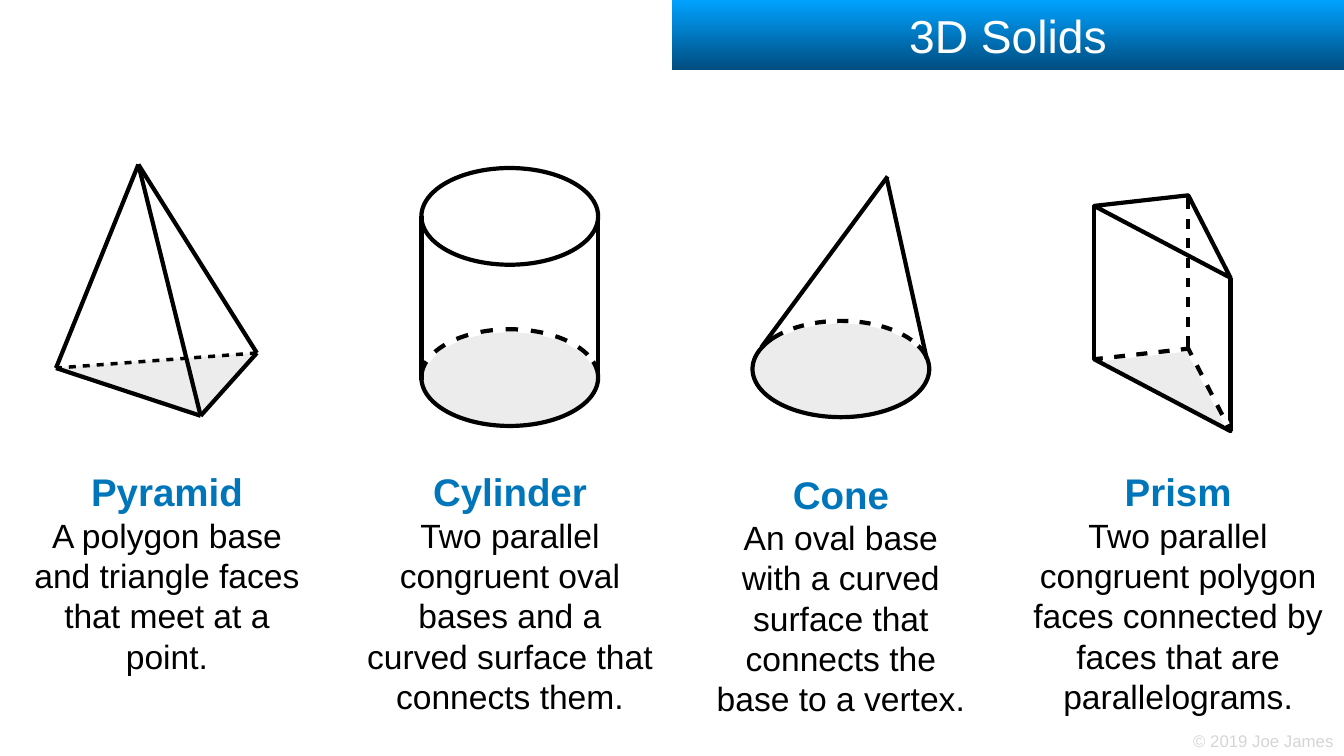
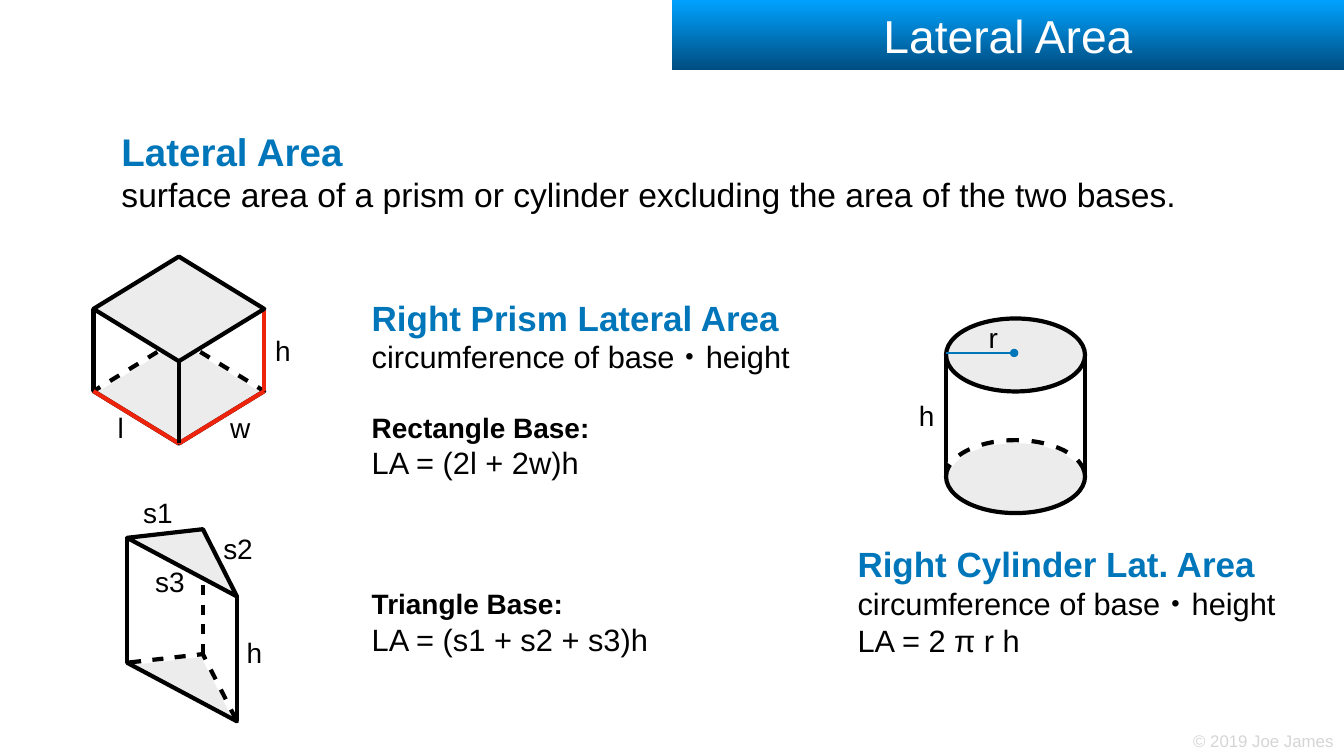
from collections import namedtuple
from math import cos, radians, sin

from lxml import etree
from pptx import Presentation
from pptx.dml.color import RGBColor
from pptx.enum.shapes import MSO_CONNECTOR, MSO_SHAPE
from pptx.enum.text import MSO_ANCHOR, MSO_AUTO_SIZE, PP_ALIGN
from pptx.oxml.ns import qn
from pptx.util import Pt

STRAIGHT = MSO_CONNECTOR.STRAIGHT
OVAL = MSO_SHAPE.OVAL
LEFT, CENTER = PP_ALIGN.LEFT, PP_ALIGN.CENTER
TOP, MIDDLE = MSO_ANCHOR.TOP, MSO_ANCHOR.MIDDLE
FIXED, GROW = MSO_AUTO_SIZE.NONE, MSO_AUTO_SIZE.SHAPE_TO_FIT_TEXT

BLACK, WHITE, GREY = "000000", "FFFFFF", "ECECEC"
BLUE, RED, PALE = "0076BA", "EE230C", "D5D5D5"
BAND_TOP, BAND_BOTTOM = "00A2FF", "004D80"
EDGE = 6
TITLE_ONLY = 5

STYLES = {
    "title": (66, False, WHITE),
    "footer": (24, False, PALE),
    "heading": (55, True, BLUE),
    "body": (48, False, BLACK),
    "subheading": (50, True, BLUE),
    "formula": (44, False, BLACK),
    "case": (40, True, BLACK),
    "label": (40, False, BLACK),
}

Box = namedtuple("Box", "left top width height")
TITLE_BAND = Box(960, 0, 960, 100)
FOOTER = Box(1700, 1040.5, 209.5, 35)


def rgb(value):
    return RGBColor.from_string(value)


def spot(box, across, down):
    return box.left + across * box.width, box.top + down * box.height


def part(box, across, down, width, height):
    return Box(*spot(box, across, down), width * box.width, height * box.height)


def points(values):
    return [Pt(value) for value in values]


def write(frame, lines, align=LEFT, anchor=TOP, wrap=True, size=GROW):
    margins = {f"margin_{side}": Pt(4.5) for side in ("left", "right", "top", "bottom")}
    settings = {"word_wrap": wrap, "auto_size": size, "vertical_anchor": anchor, **margins}
    for name, value in settings.items():
        setattr(frame, name, value)
    for index, (text, style, space) in enumerate(lines):
        para = frame.paragraphs[0] if index == 0 else frame.add_paragraph()
        para.alignment = align
        para.space_before = Pt(space)
        span = para.add_run()
        span.text = text
        height, bold, colour = STYLES[style]
        for name, value in {"name": "Arial", "size": Pt(height), "bold": bold}.items():
            setattr(span.font, name, value)
        span.font.color.rgb = rgb(colour)


def text_block(page, box, lines, **settings):
    write(page.shapes.add_textbox(*points(box)).text_frame, lines, **settings)


def label(page, box, text, across, down):
    width, height = 10 + 21 * len(text), 55
    x, y = spot(box, across, down)
    place = Box(x - width / 2, y - height / 2, width, height)
    text_block(page, place, [(text, "label", 0)], align=CENTER, anchor=MIDDLE,
               wrap=False, size=FIXED)


def draw_line(item, colour, width, dashed=False, tail=None):
    item.line.color.rgb = rgb(colour)
    item.line.width = Pt(width)
    pen = item.line._get_or_add_ln()
    if dashed:
        pattern = etree.SubElement(pen, qn("a:custDash"))
        etree.SubElement(pattern, qn("a:ds"), d="200000", sp="200000")
    if tail:
        etree.SubElement(pen, qn("a:tailEnd"), type=tail)


def paint(shape, fill):
    shape.shadow.inherit = False
    if fill:
        shape.fill.solid()
        shape.fill.fore_color.rgb = rgb(fill)
    else:
        shape.fill.background()


def edge(page, box, start, end, colour=BLACK, width=EDGE, **pen):
    ends = points(spot(box, *start) + spot(box, *end))
    line = page.shapes.add_connector(STRAIGHT, *ends)
    draw_line(line, colour, width, **pen)
    etree.SubElement(line._element.spPr, qn("a:effectLst"))


def gaps(page, box, start, end, width=8):
    near, far = [
        tuple(a + share * (b - a) for a, b in zip(start, end)) for share in (0.08, 0.92)
    ]
    edge(page, box, near, far, WHITE, width, dashed=True)


def outline(page, box, corners, fill=None, closed=True, colour=BLACK, width=EDGE, **pen):
    first, *rest = [points(spot(box, *corner)) for corner in corners]
    builder = page.shapes.build_freeform(*first)
    builder.add_line_segments(rest, close=closed)
    shape = builder.convert_to_shape()
    paint(shape, fill)
    draw_line(shape, colour, width, **pen)


def ellipse(page, box, fill=None):
    shape = page.shapes.add_shape(OVAL, *points(box))
    paint(shape, fill)
    draw_line(shape, BLACK, EDGE)


def arc_gaps(page, box, first, last, width):
    steps = 30
    angles = [radians(first + (last - first) * step / steps) for step in range(steps + 1)]
    curve = [(0.5 + cos(angle) / 2, 0.5 - sin(angle) / 2) for angle in angles]
    outline(page, box, curve, closed=False, colour=WHITE, width=width, dashed=True)


def pyramid(page, box):
    apex, left, right, front = (0.41, 0), (0, 0.81), (1, 0.75), (0.72, 1)
    outline(page, box, [left, right, front], fill=GREY, colour=GREY, width=1)
    for start, end in [(left, apex), (right, apex), (front, apex), (front, left), (right, front)]:
        edge(page, box, start, end)
    edge(page, box, right, left, width=5, dashed=True)


def cylinder(page, box, top_fill=None):
    lid = part(box, 0, 0, 1, 0.375)
    base = part(box, 0, 0.625, 1, 0.375)
    ellipse(page, lid, top_fill)
    ellipse(page, base, GREY)
    for side in (0, 1):
        edge(page, box, (side, 0.82), (side, 0.187))
    arc_gaps(page, base, 160.5, 19.5, 9)


def cone(page, box):
    base = part(box, 0, 0.6, 1, 0.4)
    ellipse(page, base, GREY)
    edge(page, box, (0.05, 0.71), (0.765, 0))
    edge(page, box, (0.985, 0.755), (0.76, 0.01))
    arc_gaps(page, base, 131, 29, 8)


def prism(page, box, top_fill=None):
    top = [(0, 0.045), (0.69, 0), (1, 0.35)]
    base = [(across, down + 0.65) for across, down in top]
    left, back, right = base
    outline(page, box, base, fill=GREY)
    for low, high in zip(base, top):
        edge(page, box, low, high)
    gaps(page, box, back, top[1], width=7)
    outline(page, box, top, fill=top_fill)
    gaps(page, box, back, right)
    gaps(page, box, back, left)


def cuboid(page, box):
    top = [(0.5, 0), (1, 0.28), (0.5, 0.56), (0, 0.28)]
    base = [(across, down + 0.44) for across, down in top]
    back, right, front, left = base
    outline(page, box, base, fill=GREY)
    for corner in (left, right):
        gaps(page, box, corner, back)
    edge(page, box, left, top[3])
    edge(page, box, left, front, RED)
    edge(page, box, front, right, RED)
    edge(page, box, right, top[1], RED)
    edge(page, box, front, top[2])
    outline(page, box, top, fill=GREY)


def add_page(deck, title):
    page = deck.slides.add_slide(deck.slide_layouts[TITLE_ONLY])
    band = page.shapes.title
    for name, value in zip(Box._fields, points(TITLE_BAND)):
        setattr(band, name, value)
    band.fill.gradient()
    band.fill.gradient_angle = 270
    for stop, colour in zip(band.fill.gradient_stops, (BAND_TOP, BAND_BOTTOM)):
        stop.color.rgb = rgb(colour)
    write(band.text_frame, [(title, "title", 0)], align=CENTER, anchor=MIDDLE, size=FIXED)
    text_block(page, FOOTER, [("© 2019 Joe James", "footer", 0)], anchor=MIDDLE, wrap=False)
    return page


def solids_page(deck):
    page = add_page(deck, "3D Solids")
    solids = [
        (pyramid, Box(80, 235, 287, 359), Box(27, 664.5, 423, 302), "Pyramid",
         "A polygon base and triangle faces that meet at a point."),
        (cylinder, Box(602, 240, 252.5, 368.5), Box(517, 664.5, 423, 360), "Cylinder",
         "Two parallel congruent oval bases and a curved surface that connects them."),
        (cone, Box(1075, 252, 252.5, 344), Box(1009, 668, 384.5, 360), "Cone",
         "An oval base with a curved surface that connects the base to a vertex."),
        (prism, Box(1563, 279, 195, 337), Box(1468, 664.5, 430, 360), "Prism",
         "Two parallel congruent polygon faces connected by faces that are parallelograms."),
    ]
    for draw, solid_box, text_box, name, meaning in solids:
        draw(page, solid_box)
        text_block(page, text_box, [(name, "heading", 0), (meaning, "body", 0)], align=CENTER)


def labelled_cuboid(page, box):
    cuboid(page, box)
    for text, across, down in [("w", 0.86, 0.915), ("h", 1.11, 0.5), ("l", 0.16, 0.915)]:
        label(page, box, text, across, down)


def labelled_prism(page, box):
    prism(page, box, GREY)
    for text, across, down in [("s1", 0.28, -0.09), ("s2", 1.01, 0.1),
                               ("s3", 0.39, 0.27), ("h", 1.16, 0.64)]:
        label(page, box, text, across, down)


def labelled_cylinder(page, box):
    cylinder(page, box, GREY)
    label(page, box, "h", -0.14, 0.5)
    label(page, box, "r", 0.34, 0.097)
    edge(page, box, (0, 0.177), (0.49, 0.177), BLUE, 4, tail="oval")


def lateral_area_page(deck):
    page = add_page(deck, "Lateral Area")
    text_block(page, Box(169, 178.5, 1594, 132), [
        ("Lateral Area", "heading", 0),
        ("surface area of a prism or cylinder excluding the area of the two bases.", "body", 0),
    ])
    text_block(page, Box(526.5, 418.5, 644.5, 540.5), [
        ("Right Prism Lateral Area", "subheading", 0),
        ("circumference of base・height", "formula", 0),
        ("Rectangle Base:", "case", 50.5),
        ("LA = (2l + 2w)h", "formula", 0),
        ("Triangle Base:", "case", 151.5),
        ("LA = (s1 + s2 + s3)h", "formula", 0),
    ])
    text_block(page, Box(1220.5, 771, 644.5, 183), [
        ("Right Cylinder Lat. Area", "subheading", 0),
        ("circumference of base・height", "formula", 0),
        ("LA = 2 π r h", "formula", 0),
    ])
    labelled_cylinder(page, Box(1351.5, 455, 198.5, 278))
    labelled_cuboid(page, Box(133.5, 366.5, 244, 267))
    labelled_prism(page, Box(181.5, 756, 157, 274.5))


def main():
    deck = Presentation()
    deck.slide_width, deck.slide_height = Pt(1920), Pt(1080)
    solids_page(deck)
    lateral_area_page(deck)
    deck.save("out.pptx")


if __name__ == "__main__":
    main()
